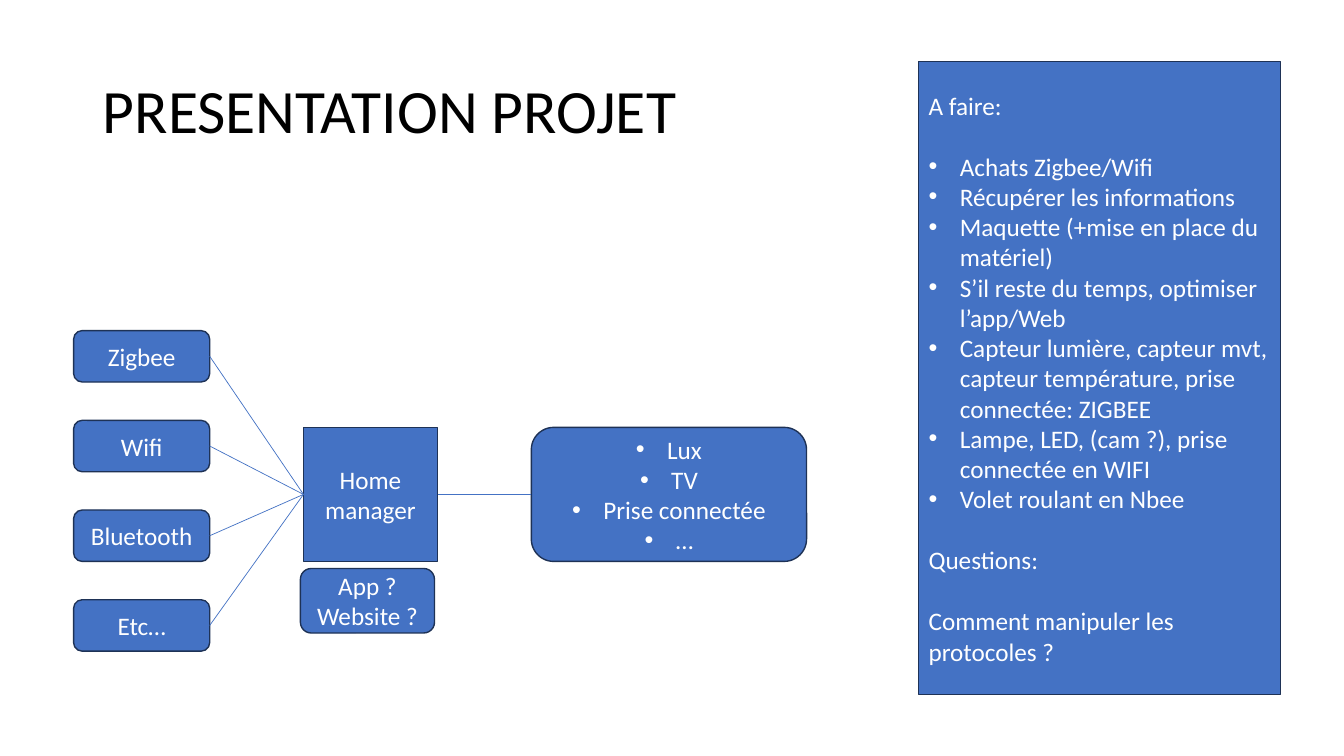
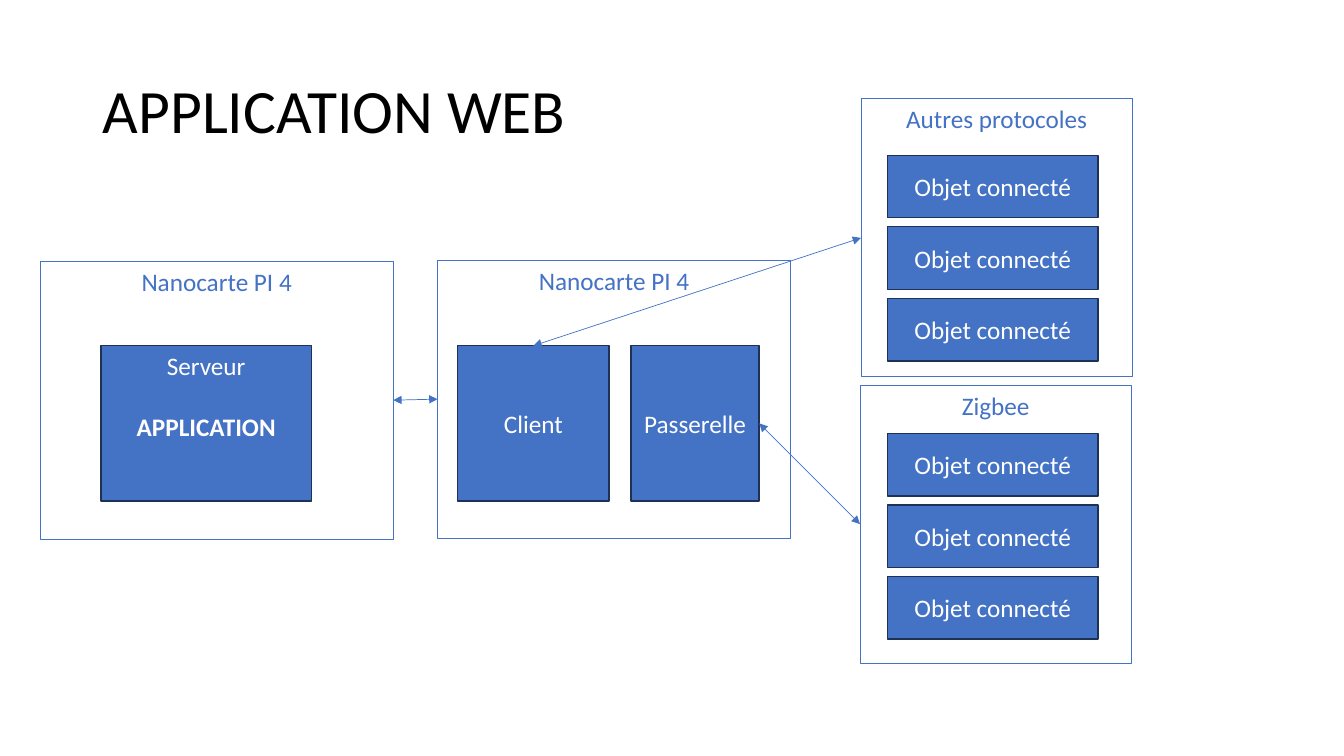
import pptx
import pptx.util
import pptx.dml.color
import pptx.enum.shapes
import pptx.enum.text
import pptx.oxml.ns
import lxml.etree

Inches = pptx.util.Inches
Pt = pptx.util.Pt
RGBColor = pptx.dml.color.RGBColor
Kind = pptx.enum.shapes.MSO_SHAPE
Align = pptx.enum.text.PP_ALIGN
Anchor = pptx.enum.text.MSO_ANCHOR
qn = pptx.oxml.ns.qn

BLUE = RGBColor(0x44, 0x72, 0xC4)
NAVY = RGBColor(0x1E, 0x32, 0x56)
WHITE = RGBColor(0xFF, 0xFF, 0xFF)
BLACK = RGBColor(0, 0, 0)

# Connection sites of a rectangle
TOP, LEFT, RIGHT = 0, 1, 3
# One blank line of body text
GAP = 22


def put(item, **vals):
    """Set each named attribute of an item."""
    for name, val in vals.items():
        setattr(item, name, val)


def place(item, left, top, width, height):
    put(item, left=Inches(left), top=Inches(top),
        width=Inches(width), height=Inches(height))


def add(node, tag, **vals):
    return lxml.etree.SubElement(node, qn(tag), **vals)


class Deck:
    """Holds the style and the current slide."""

    text = {"name": "Calibri", "size": Pt(18), "bold": False}
    head = {"name": "Calibri", "size": Pt(44), "bold": False}

    def __init__(self):
        self.prs = pptx.Presentation()
        put(self.prs, slide_width=Inches(13.33), slide_height=Inches(7.5))
        self.slide = None

    def page(self, title, width, layout):
        """Start a slide with its title."""
        self.slide = self.prs.slides.add_slide(self.prs.slide_layouts[layout])
        shape = self.slide.shapes.title
        place(shape, 0.92, 0.4, width, 1.45)
        self.label(shape, [title], BLACK, Align.LEFT, form=self.head)
        shape.text_frame.paragraphs[0].line_spacing = 0.9

    def label(self, shape, lines, color, align, anchor=Anchor.MIDDLE, form=text):
        """Fill a shape; a line is a text or a pair of text and options."""
        frame = shape.text_frame
        put(frame, word_wrap=True, vertical_anchor=anchor,
            auto_size=pptx.enum.text.MSO_AUTO_SIZE.NONE)
        for num, line in enumerate(lines):
            words, opts = (line, {}) if isinstance(line, str) else line
            para = frame.add_paragraph() if num else frame.paragraphs[0]
            put(para, alignment=align, space_before=Pt(opts.get("gap", 0)))
            self.mark(para, opts.get("dot", False))
            run = para.add_run()
            run.text = words
            put(run.font, **form)
            run.font.bold = opts.get("bold", False)
            run.font.color.rgb = color

    def mark(self, para, dot):
        """Give a paragraph a bullet and hanging indent, or neither."""
        props = para._p.get_or_add_pPr()
        hang = Inches(0.31) if dot else 0
        props.set("marL", str(hang))
        props.set("indent", str(-hang))
        if dot:
            add(props, "a:buFont", typeface="Arial")
            add(props, "a:buChar", char="•")
        else:
            add(props, "a:buNone")

    def paint(self, shape, fill, edge, width):
        if fill is None:
            shape.fill.background()
        else:
            shape.fill.solid()
            shape.fill.fore_color.rgb = fill
        shape.line.color.rgb = edge
        shape.line.width = Pt(width)

    def box(self, area, *lines, kind=Kind.RECTANGLE, anchor=Anchor.MIDDLE):
        """Solid box with white text."""
        shape = self.slide.shapes.add_shape(kind, *map(Inches, area))
        shape.shadow.inherit = False
        self.paint(shape, BLUE, NAVY, 1)
        self.label(shape, lines, WHITE, Align.CENTER, anchor)
        return shape

    def pill(self, area, *lines):
        return self.box(area, *lines, kind=Kind.ROUNDED_RECTANGLE)

    def group(self, left, top, width, title):
        """Open frame with its title at the top."""
        area = map(Inches, (left, top, width, 2.76))
        shape = self.slide.shapes.add_shape(Kind.RECTANGLE, *area)
        shape.shadow.inherit = False
        self.paint(shape, None, BLUE, 0.75)
        self.label(shape, [title], BLUE, Align.CENTER, Anchor.TOP)
        return shape

    def panel(self, area, lines):
        """Body placeholder as a solid side panel."""
        shape = self.slide.placeholders[1]
        place(shape, *area)
        self.paint(shape, BLUE, NAVY, 1)
        self.label(shape, lines, WHITE, Align.LEFT)

    def link(self, start, side, end, goal, heads=False):
        """Line glued to two shapes."""
        line = self.slide.shapes.add_connector(
            pptx.enum.shapes.MSO_CONNECTOR.STRAIGHT, 0, 0, 0, 0)
        line.begin_connect(start, side)
        line.end_connect(end, goal)
        line.line.color.rgb = BLUE
        line.line.width = Pt(0.5)
        props = line.element.spPr
        if heads:
            for tag in ("a:headEnd", "a:tailEnd"):
                add(props.find(qn("a:ln")), tag, type="triangle")
        add(props, "a:effectLst")


def dots(*items):
    return [(item, {"dot": True}) for item in items]


def project(deck):
    deck.page("PRESENTATION PROJET", 8.01, 1)

    # Hub, its interface and the devices
    hub = deck.box((3.01, 4.24, 1.33, 1.33), "Home manager")
    deck.pill((2.98, 5.64, 1.33, 0.64), "App ?", "Website ?")
    goods = deck.pill((5.27, 4.24, 2.73, 1.33),
                      *dots("Lux", "TV", "Prise connectée", "…"))
    deck.link(hub, RIGHT, goods, LEFT)

    # Protocols
    for row, name in enumerate(("Zigbee", "Wifi", "Bluetooth", "Etc…")):
        radio = deck.pill((0.73, 3.28 + 0.89 * row, 1.35, 0.51), name)
        deck.link(radio, RIGHT, hub, LEFT)

    # Tasks and questions
    tasks = dots(
        "Achats Zigbee/Wifi",
        "Récupérer les informations",
        "Maquette (+mise en place du matériel)",
        "S’il reste du temps, optimiser l’app/Web",
        "Capteur lumière, capteur mvt, capteur température, "
        "prise connectée: ZIGBEE",
        "Lampe, LED, (cam ?), prise connectée en WIFI",
        "Volet roulant en Nbee")
    tasks[0][1]["gap"] = GAP
    deck.panel((9.11, 0.61, 3.59, 6.28), [
        "A faire:", *tasks,
        ("Questions:", {"gap": GAP}),
        ("Comment manipuler les protocoles ?", {"gap": GAP})])


def web(deck):
    deck.page("APPLICATION WEB", 11.5, 5)

    # Two boards
    board = "Nanocarte PI 4"
    host = deck.group(0.4, 2.59, 3.5, board)
    gate = deck.group(4.34, 2.58, 3.5, board)
    deck.box((1, 3.43, 2.09, 1.54), "Serveur",
             ("APPLICATION", {"gap": GAP, "bold": True}), anchor=Anchor.TOP)
    client = deck.box((4.54, 3.43, 1.5, 1.54), "Client")
    bridge = deck.box((6.26, 3.43, 1.27, 1.54), "Passerelle")
    deck.link(host, RIGHT, gate, LEFT, heads=True)

    # Object groups, each linked to its part of the gateway
    for left, top, first, title, part, side in (
            (8.54, 0.98, 1.54, "Autres protocoles", client, TOP),
            (8.53, 3.82, 4.3, "Zigbee", bridge, RIGHT)):
        group = deck.group(left, top, 2.69, title)
        for row in range(3):
            deck.box((8.8, first + 0.71 * row, 2.09, 0.62), "Objet connecté")
        deck.link(group, LEFT, part, side, heads=True)


def main():
    deck = Deck()
    project(deck)
    web(deck)
    deck.prs.save("out.pptx")


if __name__ == "__main__":
    main()
